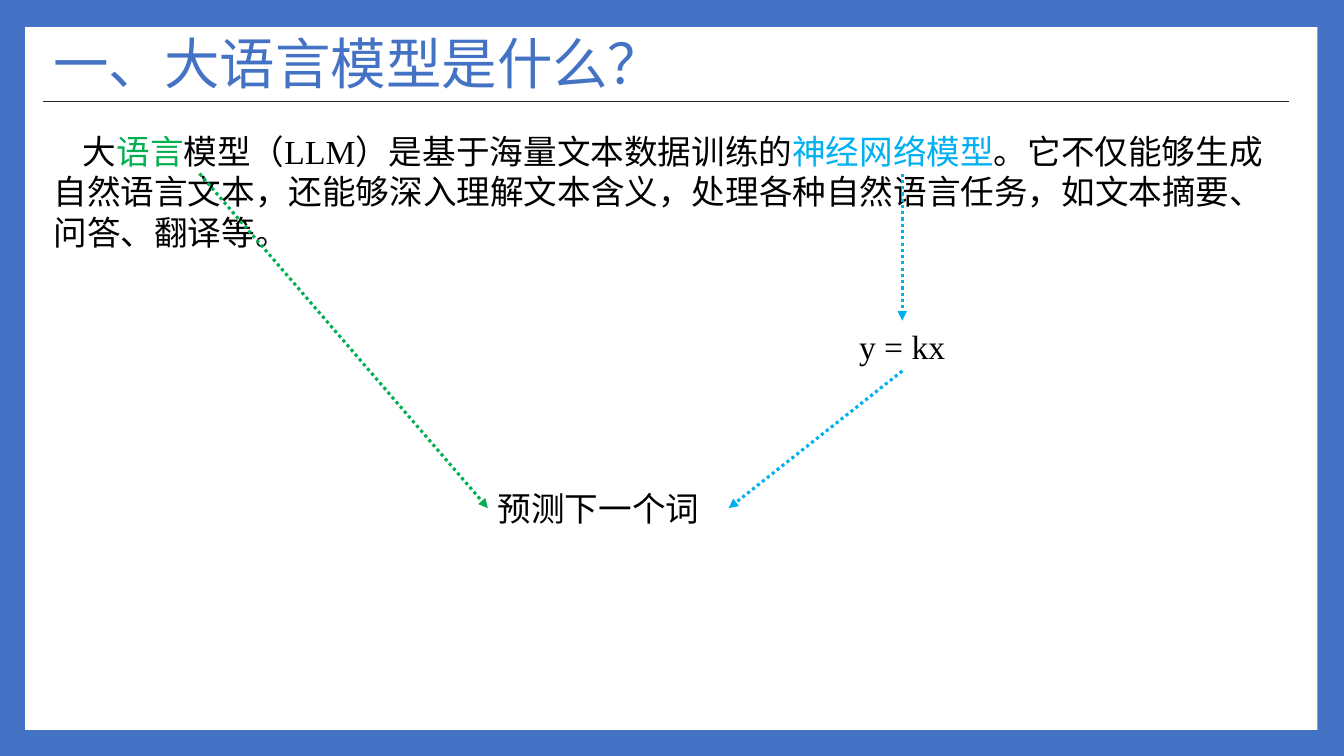
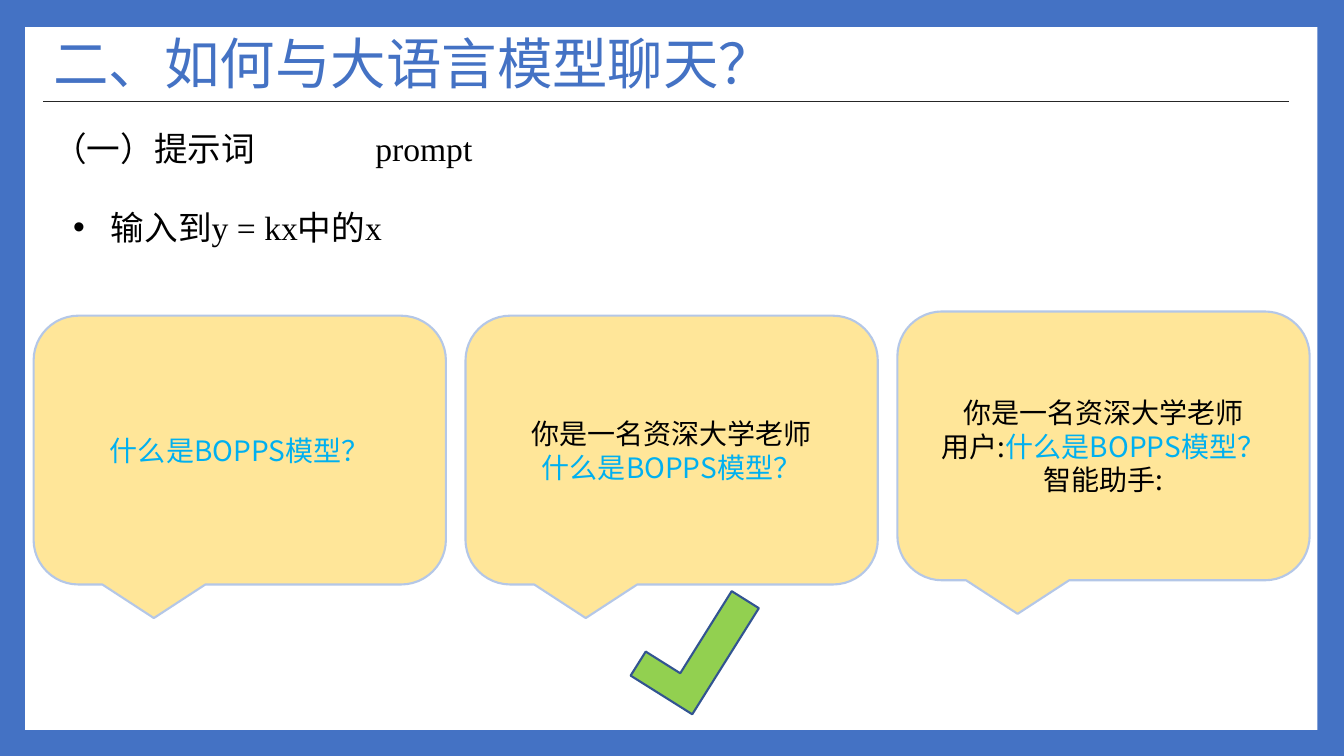
from dataclasses import dataclass

from lxml.etree import SubElement
from pptx import Presentation
from pptx.dml.color import RGBColor
from pptx.enum.dml import MSO_LINE as Dash
from pptx.enum.lang import MSO_LANGUAGE_ID as Language
from pptx.enum.shapes import MSO_CONNECTOR as Connector, MSO_SHAPE as Shape
from pptx.enum.text import MSO_ANCHOR as Anchor, MSO_AUTO_SIZE as AutoSize, PP_ALIGN as Align
from pptx.oxml.ns import qn
from pptx.util import Pt


@dataclass(frozen=True)
class Theme:
    blue: str = "4472C4"
    white: str = "FFFFFF"
    rule: str = "262626"
    black: str = "000000"
    green: str = "00B050"
    cyan: str = "00B0F0"
    bubble: str = "FFE699"
    bubble_edge: str = "B4C7E7"
    tick: str = "92D050"
    tick_edge: str = "325491"
    chinese: str = "Noto Sans CJK SC"
    latin: str = "Times New Roman"
    title_size: float = 39.6
    body_size: float = 24
    bubble_size: float = 20


THEME = Theme()
TOP, LEFT, BOTTOM = 0, 1, 2


def rgb(value):
    return RGBColor.from_string(value)


def points(*lengths):
    return [Pt(length) for length in lengths]


def place(shape, box):
    shape.left, shape.top, shape.width, shape.height = points(*box)


def style_run(run, size, color=THEME.black, font=THEME.chinese):
    run.font.size = Pt(size)
    run.font.color.rgb = rgb(color)
    run.font.name = font
    run.font.language_id = Language.SIMPLIFIED_CHINESE
    properties = run.font._element
    SubElement(properties, qn("a:ea")).set("typeface", THEME.chinese)


def write_runs(paragraph, pieces, size):
    paragraph.space_before = Pt(0)
    for text, *look in pieces:
        run = paragraph.add_run()
        run.text = text
        style_run(run, size, *look)


def set_title(slide, text):
    title = slide.shapes.title
    frame = title.text_frame
    frame.text = text
    frame.auto_size = AutoSize.NONE
    frame.vertical_anchor = Anchor.MIDDLE
    heading = frame.paragraphs[0]
    heading.alignment = Align.LEFT
    heading.line_spacing = 0.9
    style_run(heading.runs[0], THEME.title_size, THEME.blue)


def set_body(slide, box, pieces):
    body = slide.placeholders[1]
    place(body, box)
    body.text_frame.auto_size = AutoSize.NONE
    paragraph = body.text_frame.paragraphs[0]
    write_runs(paragraph, pieces, THEME.body_size)
    return paragraph


def indent_first_line(paragraph, indent):
    properties = paragraph._p.get_or_add_pPr()
    properties.set("marL", "0")
    properties.set("indent", str(Pt(indent)))
    SubElement(properties, qn("a:buNone"))


def add_tab_stop(paragraph, position):
    stops = SubElement(paragraph._p.get_or_add_pPr(), qn("a:tabLst"))
    SubElement(stops, qn("a:tab"), pos=str(Pt(position)), algn="l")


def add_label(slide, box, text, font=THEME.chinese, wrap=False):
    label = slide.shapes.add_textbox(*points(*box))
    frame = label.text_frame
    frame.word_wrap = wrap
    frame.auto_size = AutoSize.SHAPE_TO_FIT_TEXT
    frame.text = text
    for run in frame.paragraphs[0].runs:
        style_run(run, THEME.body_size, font=font)
    return label


def add_filled(slide, kind, box, fill, edge=None):
    shape = slide.shapes.add_shape(kind, *points(*box))
    shape.shadow.inherit = False
    shape.fill.solid()
    shape.fill.fore_color.rgb = rgb(fill)
    if edge:
        shape.line.color.rgb = rgb(edge)
        shape.line.width = Pt(1.5)
    else:
        shape.line.fill.background()
    return shape


def add_line(slide, start, end, color, width):
    line = slide.shapes.add_connector(Connector.STRAIGHT, *points(*start, *end))
    line.line.color.rgb = rgb(color)
    line.line.width = Pt(width)
    SubElement(line._element.spPr, qn("a:effectLst"))
    return line


def add_dotted_arrow(slide, start, end, color):
    arrow = add_line(slide, start, end, color, 2.25)
    arrow.line.dash_style = Dash.ROUND_DOT
    SubElement(arrow.line._get_or_add_ln(), qn("a:tailEnd"), type="triangle")
    return arrow


def add_bubble(slide, box, lines):
    bubble = add_filled(slide, Shape.ROUNDED_RECTANGULAR_CALLOUT, box, THEME.bubble, THEME.bubble_edge)
    frame = bubble.text_frame
    frame.vertical_anchor = Anchor.MIDDLE
    for index, pieces in enumerate(lines):
        paragraph = frame.add_paragraph() if index else frame.paragraphs[0]
        paragraph.alignment = Align.CENTER
        write_runs(paragraph, pieces, THEME.bubble_size)


def define_layout(layout, slide):
    background = layout.background.fill
    background.solid()
    background.fore_color.rgb = rgb(THEME.blue)
    place(layout.placeholders[0], (31, 21.6, 890, 51.8))
    panel = add_filled(slide, Shape.RECTANGLE, (18, 19.4, 923, 502), THEME.white)
    rule = add_line(slide, (31, 72.5), (921, 72.5), THEME.rule, 1)
    for position, part in enumerate((panel, rule), start=2):
        layout.shapes.element.insert(position, part._element)


def fill_definition_slide(slide):
    set_title(slide, "一、大语言模型是什么？")
    definition = set_body(slide, (31, 90, 883.5, 94.5), [
        ("大",),
        ("语言", THEME.green),
        ("模型（",),
        ("LLM", THEME.black, THEME.latin),
        ("）是基于海量文本数据训练的",),
        ("神经网络模型", THEME.cyan),
        ("。它不仅能够生成自然语言文本，还能够深入理解文本含义，处理各种自然语言任务，如文本摘要、问答、翻译等。",),
    ])
    indent_first_line(definition, 21)

    prediction = add_label(slide, (348.5, 345, 160, 36), "预测下一个词")
    formula = add_label(slide, (606.5, 229, 76, 36), "y = kx", THEME.latin)
    from_language = add_dotted_arrow(slide, (142.5, 124), (348.5, 363), THEME.green)
    from_language.end_connect(prediction, LEFT)
    from_network = add_dotted_arrow(slide, (644.5, 124), (644.5, 229), THEME.cyan)
    from_network.end_connect(formula, TOP)
    from_formula = add_dotted_arrow(slide, (644.5, 265), (520.5, 363), THEME.cyan)
    from_formula.begin_connect(formula, BOTTOM)


def fill_prompt_slide(slide):
    set_title(slide, "二、如何与大语言模型聊天？")
    section = add_label(slide, (31, 73.5, 340, 45), "（一）提示词\tprompt", THEME.latin, wrap=True)
    heading = section.text_frame.paragraphs[0]
    heading.line_spacing = 1.5
    add_tab_stop(heading, 230)
    set_body(slide, (45, 144, 237, 36), [("输入到y = kx中的x", THEME.black, THEME.latin)])

    role = ("你是一名资深大学老师",)
    question = ("什么是BOPPS模型？", THEME.cyan)
    prompts = [
        (225.5, [[question]]),
        (225.5, [[role], [question]]),
        (222.5, [[role], [("用户:",), question], [("智能助手:",)]]),
    ]
    for column, (top, lines) in enumerate(prompts):
        add_bubble(slide, (24 + column * 308.5, top, 294.5, 192), lines)

    tick = add_filled(slide, Shape.CORNER, (451.5, 432.5, 89.5, 52), THEME.tick, THEME.tick_edge)
    tick.adjustments[0] = 0.44
    tick.adjustments[1] = 0.39
    tick.rotation = 302.1


def main():
    deck = Presentation()
    deck.slide_width, deck.slide_height = points(960, 540)
    layout = deck.slide_layouts[1]
    definition, prompt = [deck.slides.add_slide(layout) for _ in range(2)]
    define_layout(layout, definition)
    fill_definition_slide(definition)
    fill_prompt_slide(prompt)
    deck.save("out.pptx")


if __name__ == "__main__":
    main()
